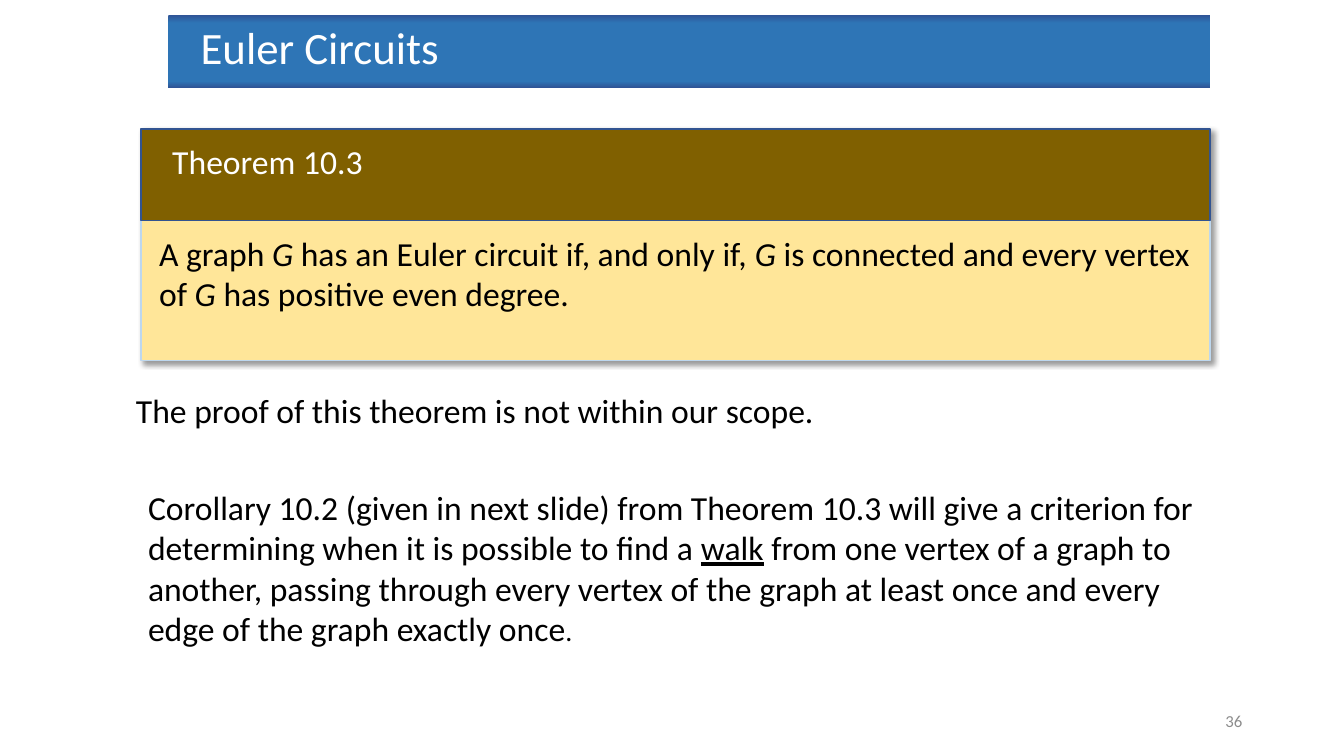
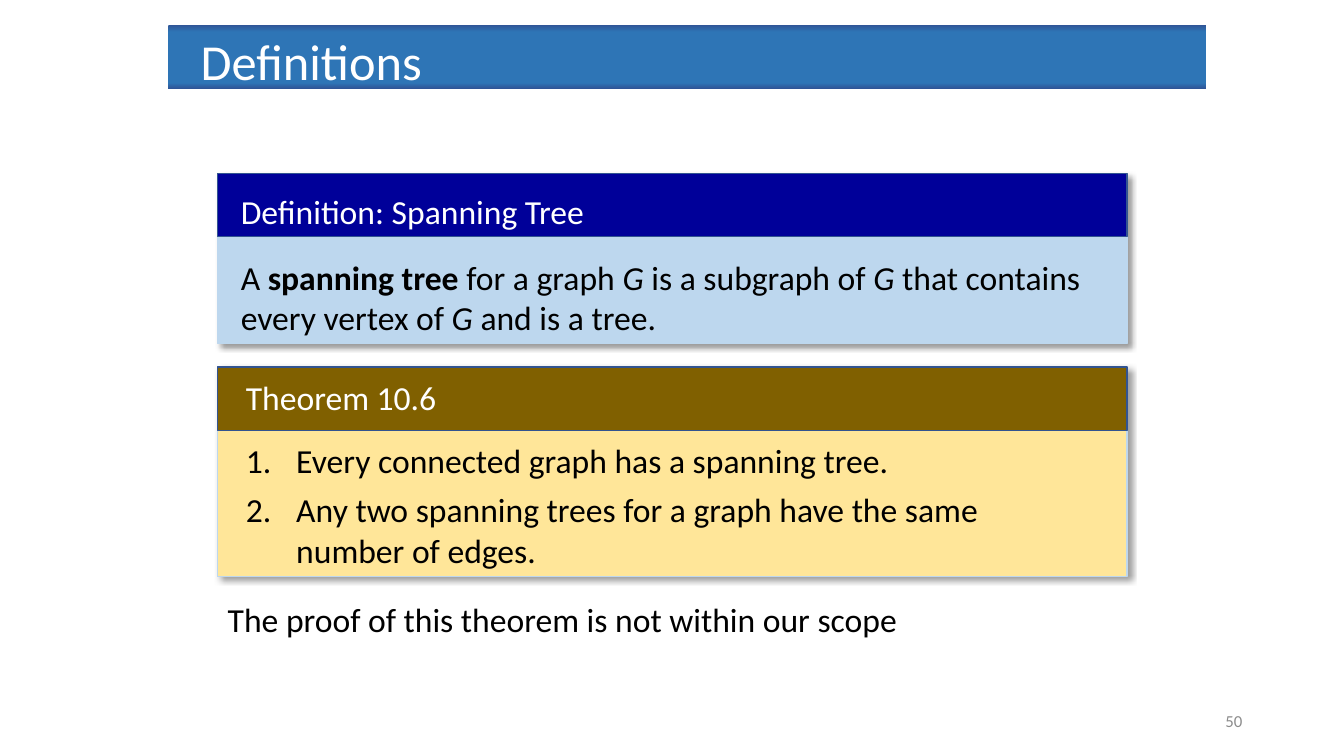
from lxml.etree import SubElement as Sub
from pptx import Presentation
from pptx.dml.color import RGBColor as RGB
from pptx.enum.shapes import MSO_SHAPE as Shape
from pptx.enum.text import MSO_ANCHOR as Anchor, PP_ALIGN as Align
from pptx.oxml.ns import qn
from pptx.util import Inches, Pt

FONT = "Calibri"
COLORS = {
    "white": "FFFFFF", "black": "000000", "gray": "8C8C8C",
    "blue": "2E75B6", "edge": "2F5597", "line": "325491",
    "navy": "000099", "sky": "BDD7EE",
    "brown": "806000", "sand": "FFE699",
}
# Head and body colours of each kind of card
KINDS = {"theorem": ("brown", "sand"), "define": ("navy", "sky")}
BAND = [(0, "edge"), (11, "blue"), (91, "blue"), (100, "edge")]
G = ("G", "i")


def color(name):
    return RGB.from_string(COLORS[name])


def place(box):
    return [Inches(v) for v in box]


def write(shape, paras, size=24, ink="black", align=Align.LEFT,
          anchor=Anchor.TOP, after=0, number=False, inset=0.1):
    """Fill a shape with paragraphs, each a list of strings or (text, style)."""
    frame = shape.text_frame
    frame.word_wrap = True
    frame.vertical_anchor = anchor
    frame.margin_left = Inches(inset)
    for i, parts in enumerate(paras):
        para = frame.add_paragraph() if i else frame.paragraphs[0]
        para.alignment = align
        para.space_after = Pt(after)
        if number:
            props = para._p.get_or_add_pPr()
            props.set("marL", str(Inches(0.5)))
            props.set("indent", str(-Inches(0.5)))
            Sub(props, qn("a:buFont"), typeface="+mj-lt")
            Sub(props, qn("a:buAutoNum"), type="arabicPeriod")
        for part in parts:
            text, style = (part, "") if isinstance(part, str) else part
            run = para.add_run()
            run.text = text
            font = run.font
            font.name, font.size = FONT, Pt(20 if style == "small" else size)
            font.color.rgb = color(ink)
            font.bold = style == "b"
            font.italic = style == "i"
            font.underline = style == "u"


def label(shapes, box, paras, **fmt):
    write(shapes.add_textbox(*place(box)), paras, **fmt)


def rect(shapes, box, fill=None, line=None):
    shape = shapes.add_shape(Shape.RECTANGLE, *place(box))
    shape.shadow.inherit = False
    if fill:
        shape.fill.solid()
        shape.fill.fore_color.rgb = color(fill)
    if line:
        shape.line.color.rgb = color(line)
        shape.line.width = Pt(1)
    else:
        shape.line.fill.background()
    return shape


def shade(shape):
    """Cast a soft shadow to the lower right."""
    effects = shape._element.spPr.find(qn("a:effectLst"))
    outer = Sub(effects, qn("a:outerShdw"), blurRad=str(Pt(4)),
                dist=str(Pt(3)), dir="2700000", algn="tl", rotWithShape="0")
    tint = Sub(outer, qn("a:srgbClr"), val=COLORS["black"])
    Sub(tint, qn("a:alpha"), val="40000")


def title(slide, box, text, size):
    band = rect(slide.shapes, box)
    band.fill.gradient()
    band.fill.gradient_angle = 270
    stops = band._element.spPr.find(qn("a:gradFill")).find(qn("a:gsLst"))
    for old in list(stops):
        stops.remove(old)
    for pos, name in BAND:
        stop = Sub(stops, qn("a:gs"), pos=str(pos * 1000))
        Sub(stop, qn("a:srgbClr"), val=COLORS[name])
    write(band, [[text]], size=size, ink="white", inset=0.32)


def card(slide, box, kind, head, body, top, pad, gap, right=0, number=False):
    """Two-tone box: pad places the head text, gap the body text."""
    x, y, w, h = box
    dark, light = KINDS[kind]
    shapes = slide.shapes.add_group_shape().shapes
    shade(rect(shapes, box, light, "sky"))
    rect(shapes, (x, y, w, top), dark, "line")
    label(shapes, (x + pad[0], y + pad[1], w - 2 * pad[0], 0.5), [[head]],
          ink="white")
    label(shapes, (x + gap[0], y + top + gap[1], w - gap[0] - right,
                   h - top - gap[1]), body, after=6, number=number)


def base(deck, page):
    """Blank slide with its page number."""
    slide = deck.slides.add_slide(deck.slide_layouts[6])
    label(slide.shapes, (9.42, 6.95, 3, 0.4), [[page]], size=12, ink="gray",
          align=Align.RIGHT, anchor=Anchor.MIDDLE)
    return slide


def euler(deck):
    slide = base(deck, "36")
    title(slide, (1.67, 0.15, 10.33, 0.72), "Euler Circuits", 32)
    card(slide, (1.4, 1.28, 10.6, 2.3), "theorem", "Theorem 10.3",
         [["A graph ", G, " has an Euler circuit if, and only if, ", G,
           " is connected and every vertex of ", G,
           " has positive even degree."]],
         top=0.91, pad=(0.21, 0.07), gap=(0.08, 0.07))
    # Remarks
    label(slide.shapes, (1.25, 3.82, 9.08, 0.5),
          [["The proof of this theorem is not within our scope."]])
    label(slide.shapes, (1.37, 4.78, 10.6, 1.72),
          [["Corollary 10.2 (given in next slide) from Theorem 10.3 will give "
            "a criterion for determining when it is possible to find a ",
            ("walk", "u"),
            " from one vertex of a graph to another, passing through every "
            "vertex of the graph at least once and every edge of the graph "
            "exactly once", (".", "small")]])


def trees(deck):
    slide = base(deck, "50")
    title(slide, (1.67, 0.25, 10.29, 0.63), "Definitions", 36)
    x, w, top = 2.16, 9.02, 0.63
    card(slide, (x, 1.72, w, 1.69), "define", "Definition: Spanning Tree",
         [["A ", ("spanning tree ", "b"), "for a graph ", G,
           " is a subgraph of ", G, " that contains every vertex of ", G,
           " and is a tree."]],
         top=top, pad=(0.13, 0.12), gap=(0.13, 0.15), right=0.09)
    card(slide, (x, 3.64, w, 2.08), "theorem", "Theorem 10.6",
         [["Every connected graph has a spanning tree."],
          ["Any two spanning trees for a graph have the same number of edges."]],
         top=top, pad=(0.18, 0.05), gap=(0.18, 0.05), right=0.3, number=True)
    # Remark
    label(slide.shapes, (x, 5.89, 10.49, 0.5),
          [["The proof of this theorem is not within our scope"]], after=6)


def main():
    deck = Presentation()
    deck.slide_width, deck.slide_height = Inches(13.33), Inches(7.5)
    euler(deck)
    trees(deck)
    deck.save("out.pptx")


if __name__ == "__main__":
    main()
